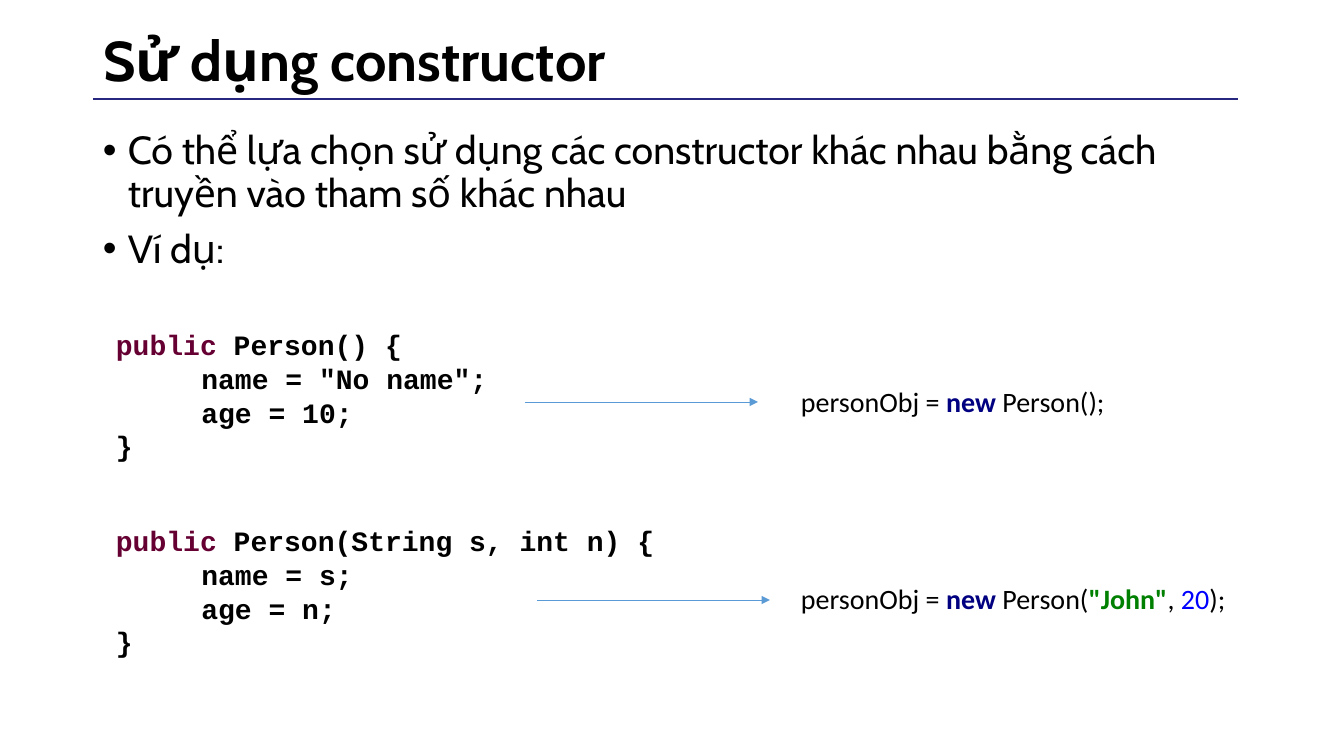
from lxml.etree import SubElement
from pptx import Presentation
from pptx.dml.color import RGBColor
from pptx.enum.shapes import MSO_CONNECTOR as Connector
from pptx.enum.text import MSO_ANCHOR as Anchor, MSO_AUTO_SIZE as AutoSize, PP_ALIGN as Align
from pptx.oxml.ns import qn
from pptx.util import Pt

SCALE = 914400 / 100.8
BLACK, KEYWORD, NAVY, GREEN, BLUE = "000000", "660033", "000080", "008000", "0000FF"


def px(value):
    return round(value * SCALE)


def add_span(para, text, font="Calibri", size=20, color=BLACK, bold=False):
    span = para.add_run()
    span.text = text
    span.font.name = font
    span.font.size = Pt(size)
    span.font.bold = bold
    span.font.color.rgb = RGBColor.from_string(color)


deck = Presentation()
deck.slide_width, deck.slide_height = px(1344), px(756)
page = deck.slides.add_slide(deck.slide_layouts[5])

title = page.shapes.title
title.left, title.top, title.width, title.height = px(93), px(18), px(1159), px(90)
title.text_frame.auto_size = AutoSize.NONE
title.text_frame.vertical_anchor = Anchor.MIDDLE
para = title.text_frame.paragraphs[0]
para.alignment = Align.LEFT
para.line_spacing = 0.9
add_span(para, "Sử dụng constructor", font="Cabin", size=40, bold=True)

body = page.shapes.add_textbox(px(93), px(126), px(1159), px(486)).text_frame
body.word_wrap = True
bullets = [
    "Có thể lựa chọn sử dụng các constructor khác nhau bằng cách truyền vào tham số khác nhau",
    "Ví dụ:",
]
for index, text in enumerate(bullets):
    para = body.add_paragraph() if index else body.paragraphs[0]
    para.line_spacing = 0.9
    para.space_before = Pt(10)
    add_span(para, text, font="Cabin", size=28)
    props = para._p.get_or_add_pPr()
    props.set("marL", str(px(25)))
    props.set("indent", str(px(-25)))
    SubElement(props, qn("a:buFont"), typeface="Arial")
    SubElement(props, qn("a:buChar"), char="•")

calls = [
    (380, 327, [("personObj = ", BLACK, False), ("new ", NAVY, True), ("Person();", BLACK, False)]),
    (577, 449, [("personObj = ", BLACK, False), ("new ", NAVY, True), ("Person(", BLACK, False),
                ('"John"', GREEN, True), (", ", BLACK, False), ("20", BLUE, False),
                (");", BLACK, False)]),
]
for top, width, spans in calls:
    call = page.shapes.add_textbox(px(791), px(top), px(width), px(44)).text_frame
    call.word_wrap = False
    call.auto_size = AutoSize.SHAPE_TO_FIT_TEXT
    for text, color, bold in spans:
        add_span(call.paragraphs[0], text, color=color, bold=bold)

constructors = [
    (323, 500, [" Person() {", '\t\tname = "No name";', "\t\tage = 10;", "}"]),
    (519, 700, [" Person(String s, int n) {", "\t\tname = s;", "\t\tage = n;", "}"]),
]
for top, width, lines in constructors:
    code = page.shapes.add_textbox(px(93), px(top), px(width), px(159)).text_frame
    code.word_wrap = True
    for index, text in enumerate(lines):
        para = code.add_paragraph() if index else code.paragraphs[0]
        props = para._p.get_or_add_pPr()
        props.set("marL", str(px(48)))
        props.set("indent", str(px(-35)))
        if index == 0:
            add_span(para, "public", font="Courier New", color=KEYWORD, bold=True)
        add_span(para, text, font="Courier New", bold=True)

rules = [
    (1238, 93, 99, "272780", 2, False),
    (525, 758, 402, "5B9BD5", 0.5, True),
    (537, 770, 600, "5B9BD5", 0.5, True),
]
for start, end, y, color, weight, has_arrow in rules:
    rule = page.shapes.add_connector(Connector.STRAIGHT, px(start), px(y), px(end), px(y))
    rule.line.color.rgb = RGBColor.from_string(color)
    rule.line.width = Pt(weight)
    if has_arrow:
        SubElement(rule.line._get_or_add_ln(), qn("a:tailEnd"), type="triangle")
    SubElement(rule._element.spPr, qn("a:effectLst"))

deck.save("out.pptx")
